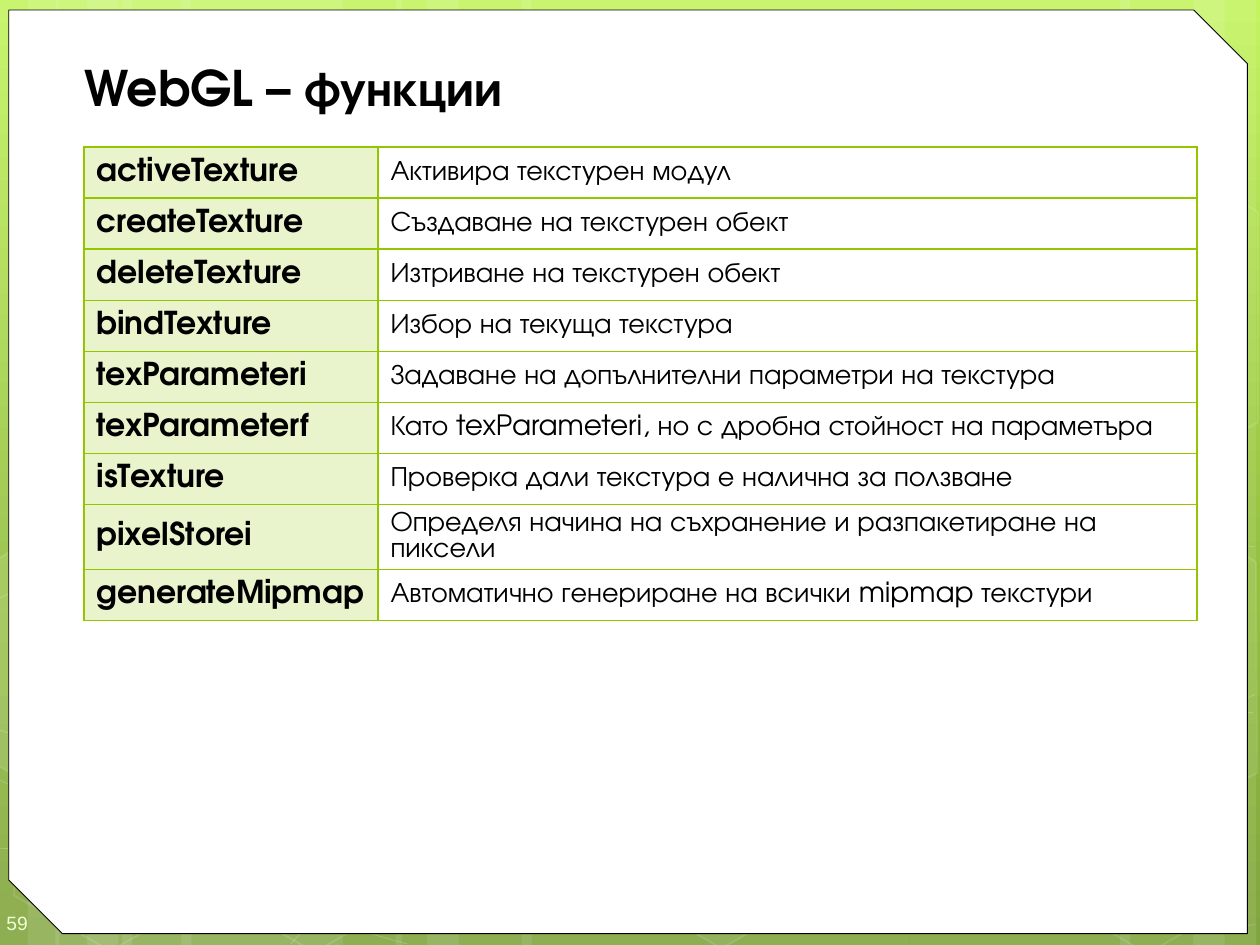
from math import cos, radians, sin
from typing import NamedTuple, Optional

from pptx import Presentation
from pptx.dml.color import RGBColor
from pptx.enum.shapes import MSO_SHAPE
from pptx.enum.text import MSO_ANCHOR
from pptx.oxml import parse_xml
from pptx.oxml.ns import nsdecls, qn
from pptx.util import Inches, Pt

FONT = "TeX Gyre Adventor"
GREEN = "94C600"
WHITE = "FFFFFF"
BLACK = "000000"
TILT = 30


class Stripe(NamedTuple):
    left: float
    width: float
    rotation: int = 0


class Hexagon(NamedTuple):
    left: float
    top: float
    fill_alpha: int = 0
    line_alpha: int = 12


class CutHexagon(NamedTuple):
    center: tuple
    points: list
    fill_alpha: int = 0


class Function(NamedTuple):
    name: str
    purpose: str


STRIPES = [Stripe(*s) for s in (
    (0.97, 1.75), (-0.03, 0.5), (0.22, 0.83), (1.44, 1.75), (0.44, 0.5), (0.69, 0.83),
    (7.22, 1.75, 180), (9.47, 0.5, 180), (8.89, 0.83, 180),
    (4.14, 3.08), (3.14, 0.5), (3.39, 0.83))]

# Each curve is a start point followed by cubic Bezier control points
CURVES = [
    [(-0.04, 6.73), (0.5, 6.76), (1.04, 6.79), (1.79, 6.78), (2.54, 6.77), (3.46, 6.75),
     (4.47, 6.65), (5.47, 6.55), (6.89, 6.36), (7.8, 6.17), (8.72, 5.98), (9.66, 5.68),
     (9.96, 5.51)],
    [(-0.04, 4.77), (0.25, 4.61), (0.54, 4.46), (1.1, 4.31), (1.67, 4.16), (2.47, 3.94),
     (3.36, 3.87), (4.25, 3.8), (5.33, 3.79), (6.43, 3.87), (7.53, 3.95), (9.36, 4.26),
     (9.96, 4.34)],
    [(-0.05, 6.17), (1.15, 6.72), (2.36, 7.27), (3.23, 7.49)],
    [(-0.04, 5.78), (0.27, 5.89), (0.59, 6), (1.17, 6.16), (1.75, 6.31), (2.62, 6.56),
     (3.45, 6.73), (4.29, 6.9), (5.34, 7.08), (6.17, 7.18), (6.99, 7.29), (7.89, 7.33),
     (8.41, 7.36), (8.94, 7.4), (9.08, 7.38), (9.34, 7.38), (9.59, 7.37), (9.78, 7.35),
     (9.96, 7.34)],
    [(2.31, 7.49), (2.49, 7.29), (2.67, 7.09), (2.91, 6.91), (3.15, 6.73), (3.49, 6.53),
     (3.76, 6.39), (4.04, 6.25), (4.22, 6.19), (4.58, 6.09), (4.95, 5.99), (5.62, 5.85),
     (5.97, 5.78), (6.32, 5.71), (6.38, 5.71), (6.69, 5.69), (7, 5.66), (7.49, 5.63),
     (7.83, 5.62), (8.17, 5.61), (8.75, 5.62), (8.75, 5.62), (8.97, 5.62), (9.19, 5.62),
     (9.41, 5.62), (9.6, 5.63), (9.77, 5.64), (9.86, 5.65), (9.94, 5.66), (9.91, 5.65),
     (9.95, 5.66)],
]

HEXAGONS = [Hexagon(*h) for h in (
    (3.25, 3.13, 10), (4.04, 4.51), (4.05, 1.74, 7, 8), (3.23, 0.36, 4, 8), (4.85, 5.89, 6),
    (0, 5.91), (0.03, 3.12, 7, 8), (0.82, 4.51), (1.62, 5.92), (1.65, 3.13, 7, 8), (0.84, 1.71),
    (7.42, 4.53, 10), (8.23, 5.93), (8.23, 3.14, 7, 8))]

# Hexagons cut off at the slide's edges, with their corners as seen on the slide
CUT_HEXAGONS = [
    CutHexagon((0.24, 5.35), [(-0.03, 4.45), (0.08, 4.38), (0.85, 4.82), (0.84, 5.7),
                              (0.09, 6.14), (-0.03, 6.07)], 10),
    CutHexagon((9.74, 5.2), [(9.15, 4.85), (9.9, 4.41), (9.97, 4.46), (9.98, 6.13),
                             (9.91, 6.17), (9.14, 5.73)], 4),
    CutHexagon((9.74, 2.41), [(9.15, 2.07), (9.9, 1.63), (9.98, 1.68), (9.98, 3.35),
                              (9.91, 3.39), (9.14, 2.95)]),
]

FUNCTIONS = [
    Function("activeTexture", "Активира текстурен модул"),
    Function("createTexture", "Създаване на текстурен обект"),
    Function("deleteTexture", "Изтриване на текстурен обект"),
    Function("bindTexture", "Избор на текуща текстура"),
    Function("texParameteri", "Задаване на допълнителни параметри на текстура"),
    Function("texParameterf", "Като texParameteri, но с дробна стойност на параметъра"),
    Function("isTexture", "Проверка дали текстура е налична за ползване"),
    Function("pixelStorei", "Определя начина на съхранение и разпакетиране на пиксели"),
    Function("generateMipmap", "Автоматично генериране на всички mipmap текстури"),
]


def paint(fill, color: str, alpha: int = 100) -> None:
    fill.solid()
    fill.fore_color.rgb = RGBColor.from_string(color)
    if alpha < 100:
        clr = fill._xPr.find(qn("a:solidFill")).find(qn("a:srgbClr"))
        clr.append(parse_xml(f'<a:alpha {nsdecls("a")} val="{alpha * 1000}"/>'))


def style(shape, fill_alpha: int = 0, line: Optional[str] = None,
          line_width: float = 1, line_alpha: int = 100) -> None:
    shape.shadow.inherit = False
    if fill_alpha:
        paint(shape.fill, WHITE, fill_alpha)
    else:
        shape.fill.background()
    if line:
        shape.line.width = Pt(line_width)
        paint(shape.line.fill, line, line_alpha)
    else:
        shape.line.fill.background()


def add_outline(slide, points: list, close: bool):
    start, *rest = [(Inches(x), Inches(y)) for x, y in points]
    builder = slide.shapes.build_freeform(*start)
    builder.add_line_segments(rest, close=close)
    return builder.convert_to_shape()


def add_curve(slide, controls: list) -> None:
    curve = add_outline(slide, controls, False)
    # Join every three line points into one Bezier segment
    lines = list(curve.element.iter(qn("a:lnTo")))
    for i in range(0, len(lines), 3):
        segment = parse_xml(f'<a:cubicBezTo {nsdecls("a")}/>')
        lines[i].addprevious(segment)
        for line in lines[i:i + 3]:
            segment.append(line[0])
            line.getparent().remove(line)
    style(curve, 0, WHITE, 0.5, 20)


def add_cut_hexagon(slide, item: CutHexagon) -> None:
    (cx, cy), c, s = item.center, cos(radians(TILT)), sin(radians(TILT))
    upright = [(cx + (x - cx) * c + (y - cy) * s, cy - (x - cx) * s + (y - cy) * c)
               for x, y in item.points]
    outline = add_outline(slide, upright, True)
    outline.rotation = TILT
    style(outline, item.fill_alpha, WHITE, 1, 12)


def format_text(paragraph, size: float, color: str, bold: bool = False, name: str = FONT) -> None:
    paragraph.font.size = Pt(size)
    paragraph.font.bold = bold
    paragraph.font.name = name
    paragraph.font.color.rgb = RGBColor.from_string(color)


def fill_cell(cell, text: str, size: float, bold: bool) -> None:
    cell.text = text
    cell.vertical_anchor = MSO_ANCHOR.MIDDLE
    format_text(cell.text_frame.paragraphs[0], size, BLACK, bold)
    for side in ("lnL", "lnR", "lnT", "lnB"):
        cell._tc.get_or_add_tcPr().append(parse_xml(
            f'<a:{side} {nsdecls("a")} w="12700"><a:solidFill><a:srgbClr val="{GREEN}"/>'
            f'</a:solidFill></a:{side}>'))


def add_background(slide) -> None:
    slide.background.fill.solid()
    solid = slide.element.find(".//" + qn("p:bgPr")).find(qn("a:solidFill"))
    stops = "".join(f'<a:gs pos="{pos * 1000}"><a:srgbClr val="{color}"/></a:gs>'
                    for pos, color in ((0, "C3F35F"), (62, "93BF3F"), (100, "81A53E")))
    solid.getparent().replace(solid, parse_xml(
        f'<a:gradFill {nsdecls("a")}><a:gsLst>{stops}</a:gsLst><a:lin ang="5400000"/></a:gradFill>'))

    for stripe in STRIPES:
        band = slide.shapes.add_shape(MSO_SHAPE.RECTANGLE, Inches(stripe.left), 0,
                                      Inches(stripe.width), Inches(7.5))
        band.rotation = stripe.rotation
        style(band, 10)
    for controls in CURVES:
        add_curve(slide, controls)
    for item in HEXAGONS:
        hexagon = slide.shapes.add_shape(MSO_SHAPE.HEXAGON, Inches(item.left), Inches(item.top),
                                         Inches(1.75), Inches(1.52))
        hexagon.adjustments[0] = 0.285
        hexagon.rotation = TILT
        style(hexagon, item.fill_alpha, WHITE, 1, item.line_alpha)
    for item in CUT_HEXAGONS:
        add_cut_hexagon(slide, item)

    card = slide.shapes.add_shape(MSO_SHAPE.SNIP_2_DIAG_RECTANGLE, Inches(0.07), Inches(0.08),
                                  Inches(9.83), Inches(7.33))
    card.adjustments[0], card.adjustments[1] = 0, 0.058
    style(card, 100, BLACK, 0.5)


def add_page_number(slide) -> None:
    frame = slide.shapes.add_textbox(0, Inches(7.1), Inches(0.58), Inches(0.4)).text_frame
    frame.word_wrap = True
    frame.vertical_anchor = MSO_ANCHOR.MIDDLE
    frame.margin_left, frame.margin_right = Inches(0.05), 0
    frame.margin_top, frame.margin_bottom = Inches(0.15), Inches(0.1)
    frame.text = "59"
    format_text(frame.paragraphs[0], 11, "EEFFD6", name="Arial")


def add_title(slide) -> None:
    title = slide.shapes.title
    title.left, title.top, title.width, title.height = map(Inches, (0.5, 0.41, 9.42, 7.01))
    # Bring the title in front of the card
    slide.shapes._spTree.append(title.element)
    title.text_frame.text = "WebGL – функции"
    title.text_frame.vertical_anchor = MSO_ANCHOR.TOP
    heading = title.text_frame.paragraphs[0]
    heading._p.get_or_add_pPr().set("marL", str(Inches(0.07)))
    heading._p.get_or_add_pPr().set("algn", "l")
    format_text(heading, 28, BLACK, True)


def add_function_table(slide) -> None:
    row_height = Inches(3.65 / 9)
    table = slide.shapes.add_table(len(FUNCTIONS), 2, Inches(2 / 3), Inches(7 / 6),
                                   Inches(8.83), row_height * len(FUNCTIONS)).table
    table.first_row = table.horz_banding = False
    table.columns[0].width, table.columns[1].width = Inches(7 / 3), Inches(6.5)
    for row, function in zip(table.rows, FUNCTIONS):
        row.height = row_height
        name, purpose = row.cells
        fill_cell(name, function.name, 18, True)
        paint(name.fill, GREEN, 20)
        fill_cell(purpose, function.purpose, 16, False)
        purpose.fill.background()


def main() -> None:
    presentation = Presentation()
    presentation.slide_width, presentation.slide_height = Inches(10), Inches(7.5)
    slide = presentation.slides.add_slide(presentation.slide_layouts[5])
    add_background(slide)
    add_page_number(slide)
    add_title(slide)
    add_function_table(slide)
    presentation.save("out.pptx")


if __name__ == "__main__":
    main()
